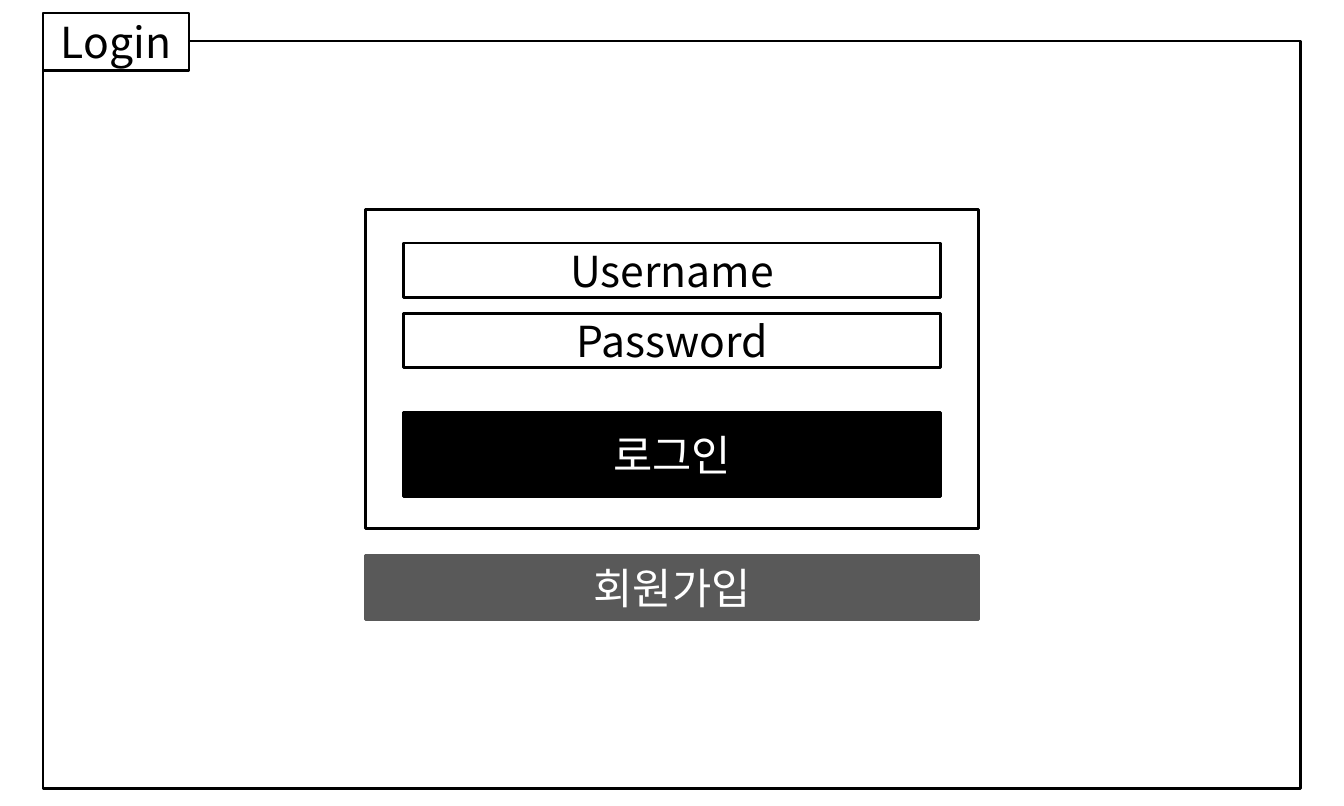
import lxml.etree
import pptx
import pptx.dml.color
import pptx.enum.shapes
import pptx.enum.text
import pptx.oxml.ns
import pptx.util

Inches = pptx.util.Inches
BLACK = pptx.dml.color.RGBColor(0x00, 0x00, 0x00)
WHITE = pptx.dml.color.RGBColor(0xFF, 0xFF, 0xFF)
GRAY = pptx.dml.color.RGBColor(0x59, 0x59, 0x59)
FONT_NAME = "Noto Sans CJK KR"


def set_box(shape, left, top, width, height):
    box = {"left": left, "top": top, "width": width, "height": height}
    for name, value in box.items():
        setattr(shape, name, Inches(value))


def style_box(shape, fill=None, line=BLACK):
    if fill is None:
        shape.fill.background()
    else:
        shape.fill.solid()
        shape.fill.fore_color.rgb = fill
    shape.line.color.rgb = line
    shape.line.width = pptx.util.Pt(3)


def write_label(shape, text, color=BLACK):
    """Centre the text and set its font for Latin and Korean letters."""
    frame = shape.text_frame
    frame_format = {
        "auto_size": pptx.enum.text.MSO_AUTO_SIZE.NONE,
        "word_wrap": True,
        "vertical_anchor": pptx.enum.text.MSO_ANCHOR.MIDDLE,
    }
    for name, value in frame_format.items():
        setattr(frame, name, value)
    paragraph = frame.paragraphs[0]
    paragraph.alignment = pptx.enum.text.PP_ALIGN.CENTER
    run = paragraph.add_run()
    run.text = text
    for name, value in {"name": FONT_NAME, "size": pptx.util.Pt(45)}.items():
        setattr(run.font, name, value)
    run.font.color.rgb = color
    properties = run.font.color and run._r.get_or_add_rPr()
    east_asian = lxml.etree.Element(pptx.oxml.ns.qn("a:ea"), typeface=FONT_NAME)
    properties.find(pptx.oxml.ns.qn("a:latin")).addnext(east_asian)


def add_box(shapes, left, top, width, height, text=None, fill=None,
            line=BLACK, color=BLACK):
    shape = shapes.add_shape(
        pptx.enum.shapes.MSO_SHAPE.RECTANGLE,
        Inches(left), Inches(top), Inches(width), Inches(height))
    shape.shadow.inherit = False
    style_box(shape, fill, line)
    if text:
        write_label(shape, text, color)
    return shape


def add_page_frame(slide, left, top, width, height):
    """Draw the page outline with the title tab over its top left corner."""
    outline = add_box(slide.shapes, left, top, width, height)
    title = slide.shapes.title
    set_box(title, left, top - 0.41, 2.14, 0.84)
    style_box(title, WHITE)
    write_label(title, "Login")
    outline.element.addnext(title.element)


def add_login_form(slide, left, top, width, height):
    """Draw the login panel and, below it, the sign-up button."""
    shapes = slide.shapes.add_group_shape().shapes
    add_box(shapes, left, top, width, height)
    field_left, field_width = left + 0.56, width - 2 * 0.56
    for index, label in enumerate(["Username", "Password"]):
        add_box(shapes, field_left, top + 0.49 + index * 1.03,
                field_width, 0.8, label)
    add_box(shapes, field_left, top + 2.98, field_width, 1.22, "로그인",
            fill=BLACK, color=WHITE)
    add_box(shapes, left, top + height + 0.4, width, 0.94, "회원가입",
            fill=GRAY, line=GRAY, color=WHITE)


def main():
    presentation = pptx.Presentation()
    presentation.slide_width = Inches(19.69)
    presentation.slide_height = Inches(11.81)
    slide = presentation.slides.add_slide(presentation.slide_layouts[5])
    add_page_frame(slide, 0.63, 0.6, 18.43, 10.95)
    add_login_form(slide, 5.35, 3.07, 8.99, 4.67)
    presentation.save("out.pptx")


if __name__ == "__main__":
    main()
